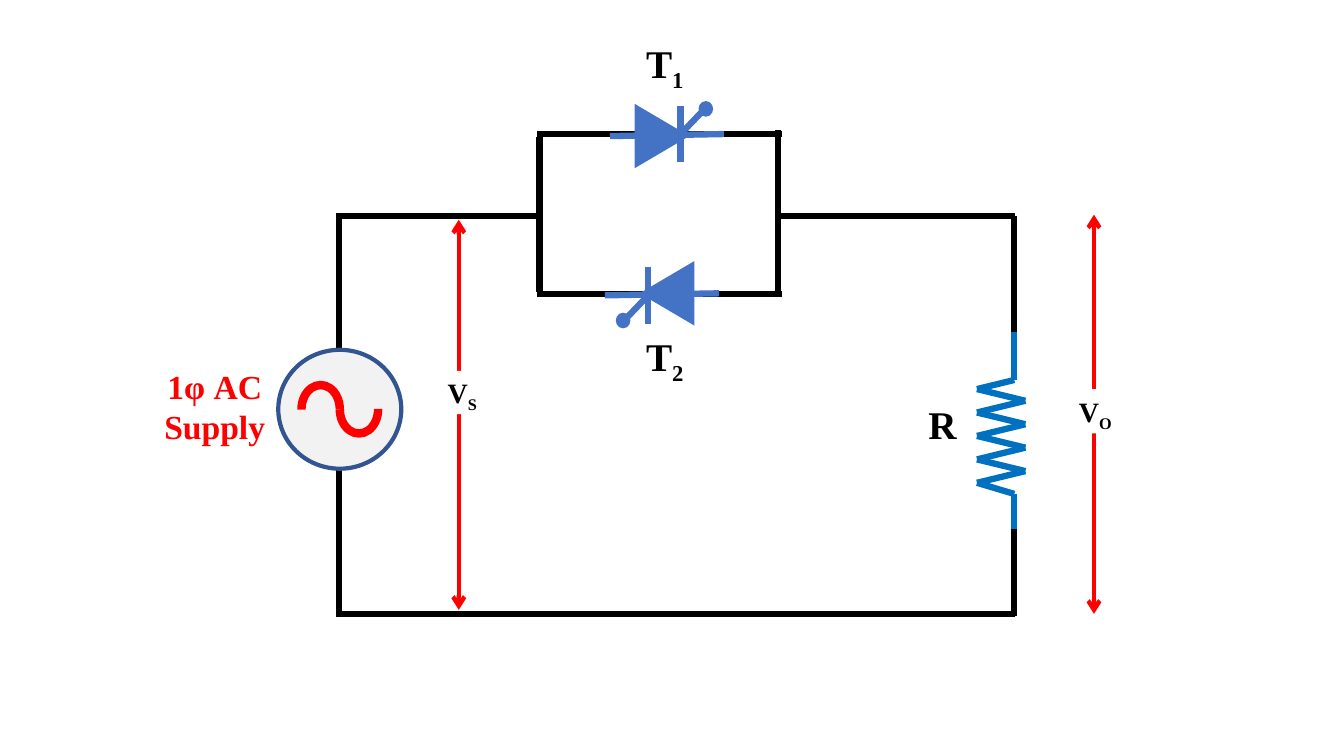
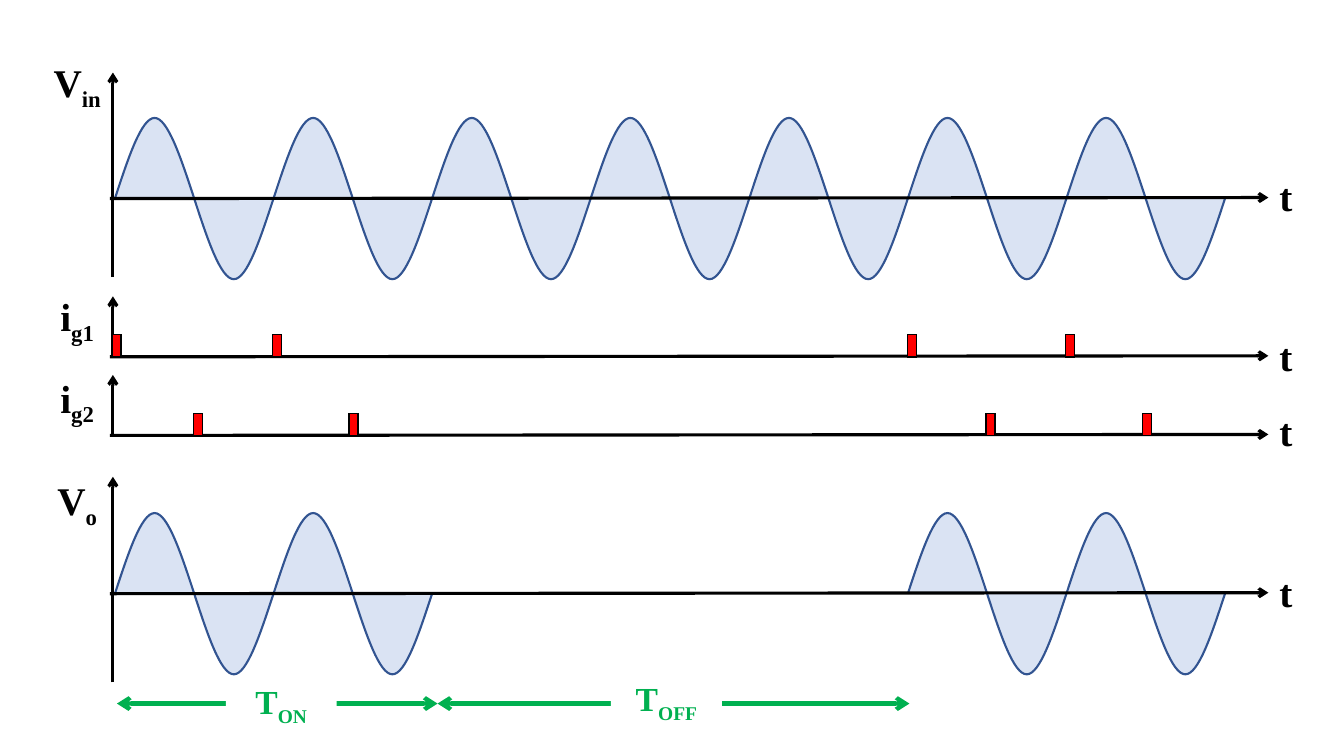
from itertools import pairwise

from lxml.etree import SubElement
from pptx import Presentation
from pptx.dml.color import RGBColor
from pptx.enum.shapes import MSO_CONNECTOR, MSO_SHAPE
from pptx.enum.text import MSO_ANCHOR, MSO_AUTO_SIZE, PP_ALIGN
from pptx.oxml.ns import qn
from pptx.util import Inches, Pt

FONT = "Times New Roman"
BLACK, WHITE, RED, GREEN = "000000", "FFFFFF", "FF0000", "00B050"
DEVICE, LOAD = "4472C4", "0070C0"
OUTLINE, WAVE_FILL, SOURCE_FILL = "325491", "DAE3F3", "F2F2F2"
WIRE = 4.5

# Circuit: wires as (start, end)
THYRISTOR_WIRES = [((7.76, 2.92), (5.33, 2.92)), ((7.76, 1.33), (5.33, 1.33))]
LOOP_WIRES = [
    ((5.33, 2.14), (3.33, 2.14)), ((3.36, 2.17), (3.36, 6.09)),
    ((10.07, 2.14), (7.7, 2.14)), ((10.06, 2.14), (10.06, 3.29)),
    ((10.06, 5.25), (10.06, 6.11)), ((5.35, 1.36), (5.35, 2.9)),
    ((7.72, 1.29), (7.72, 2.94)), ((10.07, 6.09), (3.33, 6.09)),
]
THYRISTOR_PAIR_CENTER = (6.59, 2.13)
THYRISTOR_STROKES = [((6.05, 1.35), (7.18, 1.33)), ((6.75, 1.61), (6.75, 1.05)),
                     ((6.76, 1.32), (6.99, 1.08))]
ANODE_CENTER, GATE_CENTER = (6.55, 1.35), (7, 1.08)
RESISTOR_X = 10.06
ZIGZAG_LEFT, ZIGZAG_RIGHT = 9.69, 10.17
ZIGZAG_TOP, ZIGZAG_BOTTOM, ZIGZAG_TURNS = 3.86, 4.79, 9
# Voltages: x, arrow top, arrow bottom, subscript, label box
VOLTAGES = [
    (10.85, 2.13, 6.09, "O", (10.48, 3.86, 0.77, 0.44)),
    (4.55, 2.18, 6.05, "S", (4.2, 3.68, 0.77, 0.43)),
]
PART_LABELS = [
    ("R", "", (9.11, 3.92, 0.38, 0.57)),
    ("T", "1", (6.31, 0.34, 0.61, 0.57)),
    ("T", "2", (6.31, 3.25, 0.61, 0.57)),
]

# Waveforms: symbol, subscript, label top, time label top, axis top, axis bottom,
# baseline, half cycles with a wave, left edges of the gate pulses
PLOTS = [
    ("V", "in", 0.53, 1.66, 0.72, 2.75, 1.97, range(14), ()),
    ("i", "g1", 2.85, 3.25, 2.94, 3.54, 3.54, (), (1.11, 2.7, 9, 10.57)),
    ("i", "g2", 3.66, 3.99, 3.72, 4.32, 4.32, (), (1.92, 3.46, 9.78, 11.33)),
    ("V", "o", 4.68, 5.59, 4.73, 6.77, 5.89, (0, 1, 2, 3, 10, 11, 12, 13), ()),
]
AXIS_X, AXIS_START, AXIS_END = 1.12, 1.09, 12.58
WAVE_START, WAVE_END, HALF_CYCLES, AMPLITUDE = 1.14, 12.15, 14, 0.8
# Bezier points of a half cycle, as shares of its width and height
HALF_WAVE = [(0, 0), (1 / 6, 0.5), (1 / 3, 1), (1 / 2, 1),
             (2 / 3, 1), (5 / 6, 0.5), (1, 0)]
PULSE_WIDTH, PULSE_HEIGHT = 0.09, 0.22
# Intervals: subscript, start, end, label left, label top
INTERVALS = [("OFF", 4.34, 9.02, 6.06, 6.68), ("ON", 1.16, 4.34, 2.24, 6.71)]
INTERVAL_Y = 6.98


def color(hex_code):
    """Turn a hex string into a colour."""
    return RGBColor.from_string(hex_code)


def style(shape, fill=None, line=None, width=1.0):
    """Set fill and mitered outline of a shape and drop its shadow."""
    shape.shadow.inherit = False
    if fill:
        shape.fill.solid()
        shape.fill.fore_color.rgb = color(fill)
    else:
        shape.fill.background()
    if line:
        shape.line.color.rgb = color(line)
        shape.line.width = Pt(width)
        SubElement(shape.line._get_or_add_ln(), qn("a:miter"), lim="800000")
    else:
        shape.line.fill.background()


def add_line(slide, start, end, stroke=BLACK, width=WIRE, arrows=()):
    """Draw a straight line; arrows names the ends, headEnd or tailEnd."""
    connector = slide.shapes.add_connector(
        MSO_CONNECTOR.STRAIGHT, *(Inches(v) for v in (*start, *end)))
    connector.line.color.rgb = color(stroke)
    connector.line.width = Pt(width)
    outline = connector.line._get_or_add_ln()
    for end_name in arrows:
        SubElement(outline, qn("a:" + end_name), type="arrow")
    SubElement(connector._element.spPr, qn("a:effectLst"))


def add_preset(slide, preset, box, rotation=0, **look):
    """Add a preset shape in the box (left, top, width, height)."""
    shape = slide.shapes.add_shape(preset, *(Inches(v) for v in box))
    shape.rotation = rotation
    style(shape, **look)
    return shape


def around(center, width, height):
    """Return the box of a given size around a center."""
    return center[0] - width / 2, center[1] - height / 2, width, height


def add_text(slide, words, box, subscript="", size=28, ink=BLACK,
             align=PP_ALIGN.CENTER, fill=None):
    """Add bold text with an optional subscript and backing."""
    if fill:
        label = add_preset(slide, MSO_SHAPE.RECTANGLE, box, fill=fill)
    else:
        label = slide.shapes.add_textbox(*(Inches(v) for v in box))
    frame = label.text_frame
    frame.word_wrap = True
    frame.auto_size = MSO_AUTO_SIZE.SHAPE_TO_FIT_TEXT
    frame.vertical_anchor = MSO_ANCHOR.TOP
    paragraph = frame.paragraphs[0]
    paragraph.alignment = align
    for piece, baseline in ((words, 0), (subscript, -25000)):
        if not piece:
            continue
        run = paragraph.add_run()
        run.text = piece
        run.font.name, run.font.size, run.font.bold = FONT, Pt(size), True
        run.font.color.rgb = color(ink)
        if baseline:
            run._r.get_or_add_rPr().set("baseline", str(baseline))


def add_thyristor(slide, turned):
    """Draw the upper thyristor, or the lower one turned by half a circle."""
    def place(point):
        """Move a point to the thyristor drawn here."""
        if not turned:
            return point
        return tuple(2 * c - v for c, v in zip(THYRISTOR_PAIR_CENTER, point))

    look = dict(fill=DEVICE, line=DEVICE, width=WIRE)
    for start, end in THYRISTOR_STROKES:
        add_line(slide, place(start), place(end), DEVICE)
    add_preset(slide, MSO_SHAPE.ISOSCELES_TRIANGLE,
               around(place(ANODE_CENTER), 0.53, 0.45),
               rotation=270 if turned else 90, **look)
    add_preset(slide, MSO_SHAPE.OVAL, around(place(GATE_CENTER), 0.09, 0.08),
               rotation=270 if turned else 90, **look)


def add_resistor(slide):
    """Draw the load resistor with its two leads."""
    step = (ZIGZAG_BOTTOM - ZIGZAG_TOP) / (ZIGZAG_TURNS - 1)
    turns = [((ZIGZAG_RIGHT if i % 2 else ZIGZAG_LEFT), ZIGZAG_TOP + i * step)
             for i in range(ZIGZAG_TURNS)]
    points = [(RESISTOR_X, 3.06), (RESISTOR_X, 3.77), *turns,
              (RESISTOR_X, 4.9), (RESISTOR_X, 5.59)]
    for start, end in pairwise(points):
        add_line(slide, start, end, LOAD)


def add_source(slide):
    """Draw the supply circle with its sine sign."""
    add_preset(slide, MSO_SHAPE.OVAL, (2.76, 3.47, 1.22, 1.18),
               fill=SOURCE_FILL, line=OUTLINE, width=3)
    for left, rotation in ((2.99, 0), (3.37, 180)):
        arc = add_preset(slide, MSO_SHAPE.ARC, (left, 3.82, 0.38, 0.48),
                         rotation=rotation, line=RED, width=6)
        arc.adjustments[0], arc.adjustments[1] = 107.4, 0
    add_text(slide, "1φ AC Supply", (1.36, 3.58, 1.54, 0.91), size=24, ink=RED)


def add_half_wave(slide, half, baseline):
    """Draw one half cycle as two curves, upward for even numbers."""
    width = (WAVE_END - WAVE_START) / HALF_CYCLES
    left = WAVE_START + half * width
    rise = AMPLITUDE if half % 2 else -AMPLITUDE
    points = [(Inches(left + width * x), Inches(baseline + rise * y))
              for x, y in HALF_WAVE]
    builder = slide.shapes.build_freeform(*points[0])
    builder.add_line_segments(points[1:], close=False)
    wave = builder.convert_to_shape()
    segments = list(wave._element.iter(qn("a:lnTo")))
    outline = segments[0].getparent()
    for first in (0, 3):
        curve = SubElement(outline, qn("a:cubicBezTo"))
        for segment in segments[first:first + 3]:
            curve.append(segment[0])
            outline.remove(segment)
    style(wave, fill=WAVE_FILL, line=OUTLINE, width=1.5)


def build_circuit(slide):
    """Build the circuit slide."""
    for start, end in THYRISTOR_WIRES:
        add_line(slide, start, end)
    add_resistor(slide)
    for start, end in LOOP_WIRES:
        add_line(slide, start, end)
    for turned in (False, True):
        add_thyristor(slide, turned)
    add_source(slide)
    for x, top, bottom, subscript, box in VOLTAGES:
        add_line(slide, (x, top), (x, bottom), RED, 3, ("headEnd", "tailEnd"))
        add_text(slide, "V", box, subscript=subscript, size=20, fill=WHITE)
    for symbol, subscript, box in PART_LABELS:
        add_text(slide, symbol, box, subscript=subscript, align=PP_ALIGN.LEFT)


def build_waveforms(slide):
    """Build the waveform slide."""
    for (symbol, subscript, label_top, time_top, axis_top, axis_bottom,
         baseline, waves, pulses) in PLOTS:
        for half in waves:
            add_half_wave(slide, half, baseline)
        add_line(slide, (AXIS_START, baseline), (AXIS_END, baseline - 0.01),
                 width=2.25, arrows=("tailEnd",))
        add_line(slide, (AXIS_X, axis_bottom), (AXIS_X, axis_top),
                 width=2.25, arrows=("tailEnd",))
        for left in pulses:
            add_preset(slide, MSO_SHAPE.RECTANGLE,
                       (left, baseline - PULSE_HEIGHT, PULSE_WIDTH, PULSE_HEIGHT),
                       fill=RED, line=BLACK)
        add_text(slide, symbol, (0.33, label_top, 0.87, 0.57), subscript=subscript)
        add_text(slide, "t", (12.32, time_top, 0.87, 0.57))
    for subscript, start, end, left, top in INTERVALS:
        add_line(slide, (start, INTERVAL_Y), (end, INTERVAL_Y), GREEN, 3,
                 ("headEnd", "tailEnd"))
        add_text(slide, "T", (left, top, 1.1, 0.5), subscript=subscript,
                 size=24, ink=GREEN, fill=WHITE)


deck = Presentation()
deck.slide_width, deck.slide_height = Inches(13.33), Inches(7.5)
for build in (build_circuit, build_waveforms):
    build(deck.slides.add_slide(deck.slide_layouts[6]))
deck.save("out.pptx")
